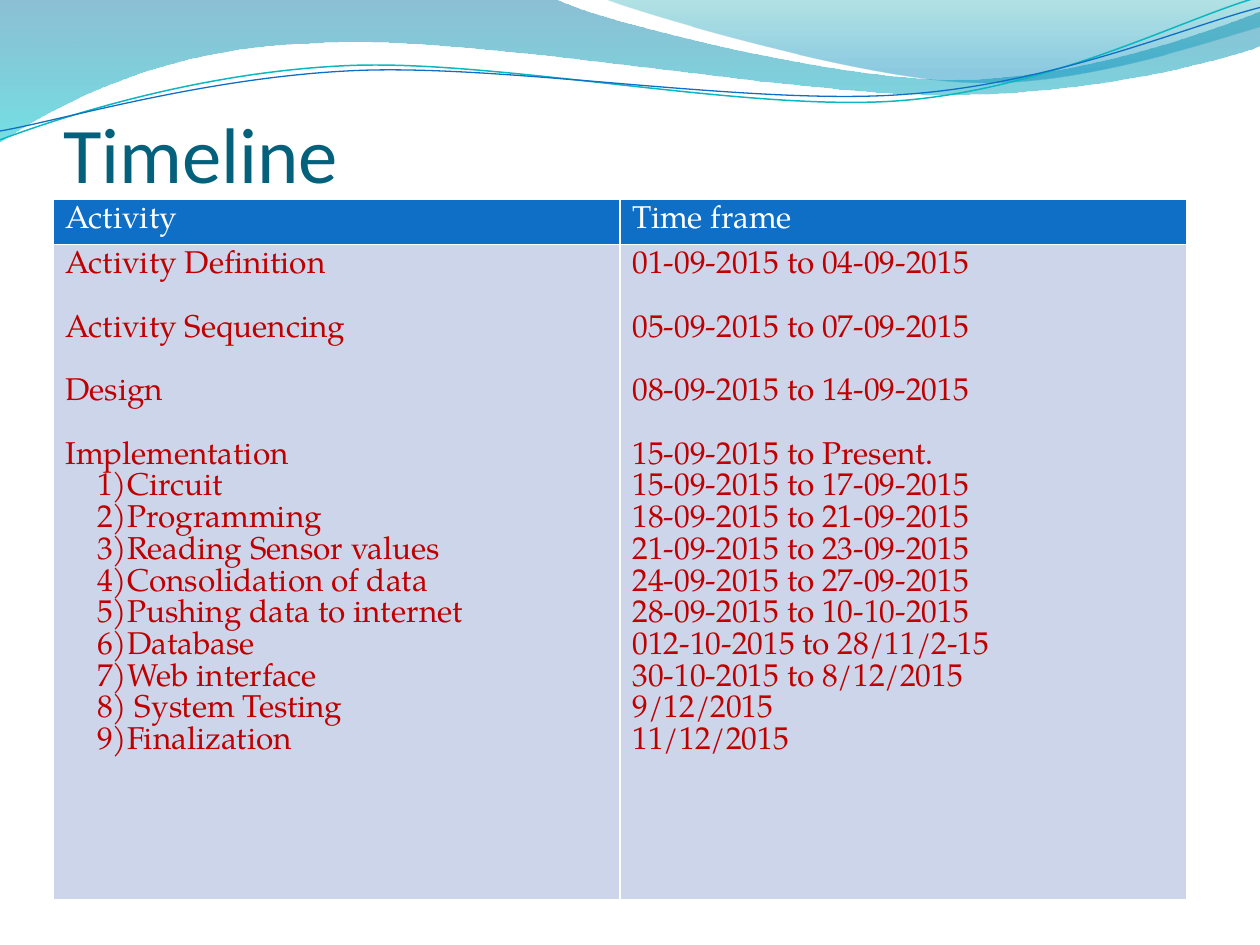
from math import cos, radians, sin

from lxml.etree import SubElement
from pptx import Presentation
from pptx.dml.color import RGBColor
from pptx.enum.text import MSO_ANCHOR, PP_ALIGN
from pptx.oxml.ns import qn
from pptx.util import Inches, Pt

COLORS = {
    "title": "04617B", "header": "0F6FC6", "body": "CCD5EA", "entry": "C00000",
    "white": "FFFFFF", "teal_line": "0AB8BF", "blue_line": "0F6FC6",
    "deep_blue": "0074A1", "aqua": "00C6CF", "green": "00A1A9", "sky": "008BBF",
}
TABLE_FONT = "TeX Gyre Pagella"
STRAND_TILT = -2.7

BROAD_WAVE = [
    [(0, 0)],
    [(4.4, -0.01)],
    [(4.76, 0.17), (6.64, 0.63), (7.58, 0.63)],
    [(8.53, 0.63), (9.58, 0.26), (10, 0.09)],
    [(10.01, 0.36)],
    [(9.83, 0.44), (8.7, 0.76), (7.46, 0.75)],
    [(6.22, 0.75), (3.82, 0.28), (2.57, 0.34)],
    [(1.29, 0.36), (0.46, 0.83), (-0.01, 1.13)],
    [(0, 0)],
]
CORNER_WAVE = [
    [(4.79, -0.01)],
    [(5.09, 0.11), (6.82, 0.62), (7.69, 0.65)],
    [(8.56, 0.69), (9.61, 0.32), (10, 0.21)],
    [(10, 0)],
    [(4.79, -0.01)],
]
TEAL_STRAND = [
    [(0, 1.11)],
    [(0.48, 0.93), (1.58, 0.57), (2.77, 0.52)],
    [(3.95, 0.47), (5.93, 0.89), (7.13, 0.8)],
    [(8.33, 0.71), (9.38, 0.15), (9.98, -0.02)],
]
BLUE_STRAND = [
    [(0, 1.04)],
    [(0.47, 0.96), (1.64, 0.61), (2.83, 0.56)],
    [(4.03, 0.51), (5.97, 0.84), (7.17, 0.75)],
    [(8.36, 0.67), (9.41, 0.21), (10, 0.06)],
]

PHASES = [
    ("Activity Definition", "01-09-2015 to 04-09-2015"),
    ("Activity Sequencing", "05-09-2015 to 07-09-2015"),
    ("Design", "08-09-2015 to 14-09-2015"),
]
IMPLEMENTATION = ("Implementation", "15-09-2015 to Present.")
STEPS = [
    ("1)Circuit", "15-09-2015 to 17-09-2015"),
    ("2)Programming", "18-09-2015 to 21-09-2015\n21-09-2015 to 23-09-2015"),
    ("3)Reading Sensor values", None),
    ("4)Consolidation of data", "24-09-2015 to 27-09-2015"),
    ("5)Pushing data to internet", "28-09-2015 to 10-10-2015"),
    ("6)Database", "012-10-2015 to 28/11/2-15"),
    ("7)Web interface", "30-10-2015 to 8/12/2015"),
    ("8) System Testing", "9/12/2015"),
    ("9)Finalization", "11/12/2015"),
]


def rgb(name):
    return RGBColor.from_string(COLORS[name])


def turn(point, center, degrees):
    angle = radians(degrees)
    x, y = point[0] - center[0], point[1] - center[1]
    return (
        center[0] + x * cos(angle) - y * sin(angle),
        center[1] + x * sin(angle) + y * cos(angle),
    )


def add_outline(slide, segments, close):
    points = [(Inches(x), Inches(y)) for segment in segments for x, y in segment]
    builder = slide.shapes.build_freeform(*points[0])
    builder.add_line_segments(points[1:], close=close)
    outline = builder.convert_to_shape()
    outline.shadow.inherit = False
    steps = iter(list(outline.element.spPr.iter(qn("a:lnTo"))))
    for segment in segments[1:]:
        lines = [next(steps) for _ in segment]
        if len(lines) == 3:
            curve = SubElement(lines[0].getparent(), qn("a:cubicBezTo"))
            lines[0].addprevious(curve)
            for line in lines:
                curve.append(line[0])
                line.getparent().remove(line)
    return outline


def add_wave(slide, segments, stops):
    wave = add_outline(slide, segments, True)
    wave.line.fill.background()
    wave.fill.gradient()
    wave.fill.gradient_angle = 270
    for stop, (position, color, _) in zip(wave.fill.gradient_stops, stops):
        stop.position = position
        stop.color.rgb = rgb(color)
    tints = wave.element.spPr.iter(qn("a:srgbClr"))
    for tint, (_, _, opacity) in zip(tints, stops):
        SubElement(tint, qn("a:alpha")).set("val", str(opacity * 1000))


def add_strand(slide, segments, center, color, width):
    level = [
        [turn(point, center, -STRAND_TILT) for point in segment]
        for segment in segments
    ]
    strand = add_outline(slide, level, False)
    strand.rotation = STRAND_TILT
    strand.fill.background()
    strand.line.color.rgb = rgb(color)
    strand.line.width = Pt(width)


def add_title(slide, wording):
    title = slide.shapes.title
    title.left, title.top = Inches(0.5), Inches(0.77)
    title.width, title.height = Inches(9), Inches(0.81)
    frame = title.text_frame
    frame.margin_left = frame.margin_right = frame.margin_bottom = 0
    frame.margin_top = Inches(0.05)
    frame.vertical_anchor = MSO_ANCHOR.BOTTOM
    paragraph = frame.paragraphs[0]
    paragraph.alignment = PP_ALIGN.LEFT
    run = paragraph.add_run()
    run.text = wording
    run.font.name = "Calibri"
    run.font.size = Pt(45)
    run.font.color.rgb = rgb("title")


def fill_cell(cell, color):
    cell.fill.solid()
    cell.fill.fore_color.rgb = rgb(color)


def write_entry(paragraph, wording, color, gap=0, indent=0):
    paragraph.space_after = Pt(gap)
    if indent:
        paragraph._p.get_or_add_pPr().set("marL", str(Inches(indent)))
    for number, line in enumerate(wording.split("\n")):
        if number:
            paragraph.add_line_break()
        run = paragraph.add_run()
        run.text = line
        run.font.name = TABLE_FONT
        run.font.size = Pt(18)
        run.font.bold = False
        run.font.color.rgb = rgb(color)


def add_schedule(slide):
    schedule = slide.shapes.add_table(
        2, 2, Inches(0.42), Inches(1.58), Inches(9), Inches(5.56)
    ).table
    schedule.rows[0].height = Inches(0.36)
    schedule.rows[1].height = Inches(5.2)
    for column, heading in enumerate(("Activity", "Time frame")):
        header, body = schedule.cell(0, column), schedule.cell(1, column)
        fill_cell(header, "header")
        fill_cell(body, "body")
        write_entry(header.text_frame.paragraphs[0], heading, "white")
        step_indent = 0.25 if column == 0 else 0
        entries = [(phase[column], 18.2, 0) for phase in PHASES]
        entries.append((IMPLEMENTATION[column], 0, 0))
        entries += [(step[column], 0, step_indent) for step in STEPS if step[column]]
        frame = body.text_frame
        for number, (wording, gap, indent) in enumerate(entries):
            paragraph = frame.add_paragraph() if number else frame.paragraphs[0]
            write_entry(paragraph, wording, "entry", gap, indent)


def main():
    deck = Presentation()
    deck.slide_width, deck.slide_height = Inches(10), Inches(7.5)
    slide = deck.slides.add_slide(deck.slide_layouts[5])
    add_wave(slide, BROAD_WAVE, [(0, "deep_blue", 45), (1, "aqua", 55)])
    add_wave(slide, CORNER_WAVE, [(0, "green", 30), (0.8, "sky", 45)])
    add_strand(slide, TEAL_STRAND, (4.99, 0.58), "teal_line", 0.85)
    add_strand(slide, BLUE_STRAND, (5, 0.59), "blue_line", 0.75)
    add_title(slide, "Timeline")
    add_schedule(slide)
    deck.save("out.pptx")


if __name__ == "__main__":
    main()
